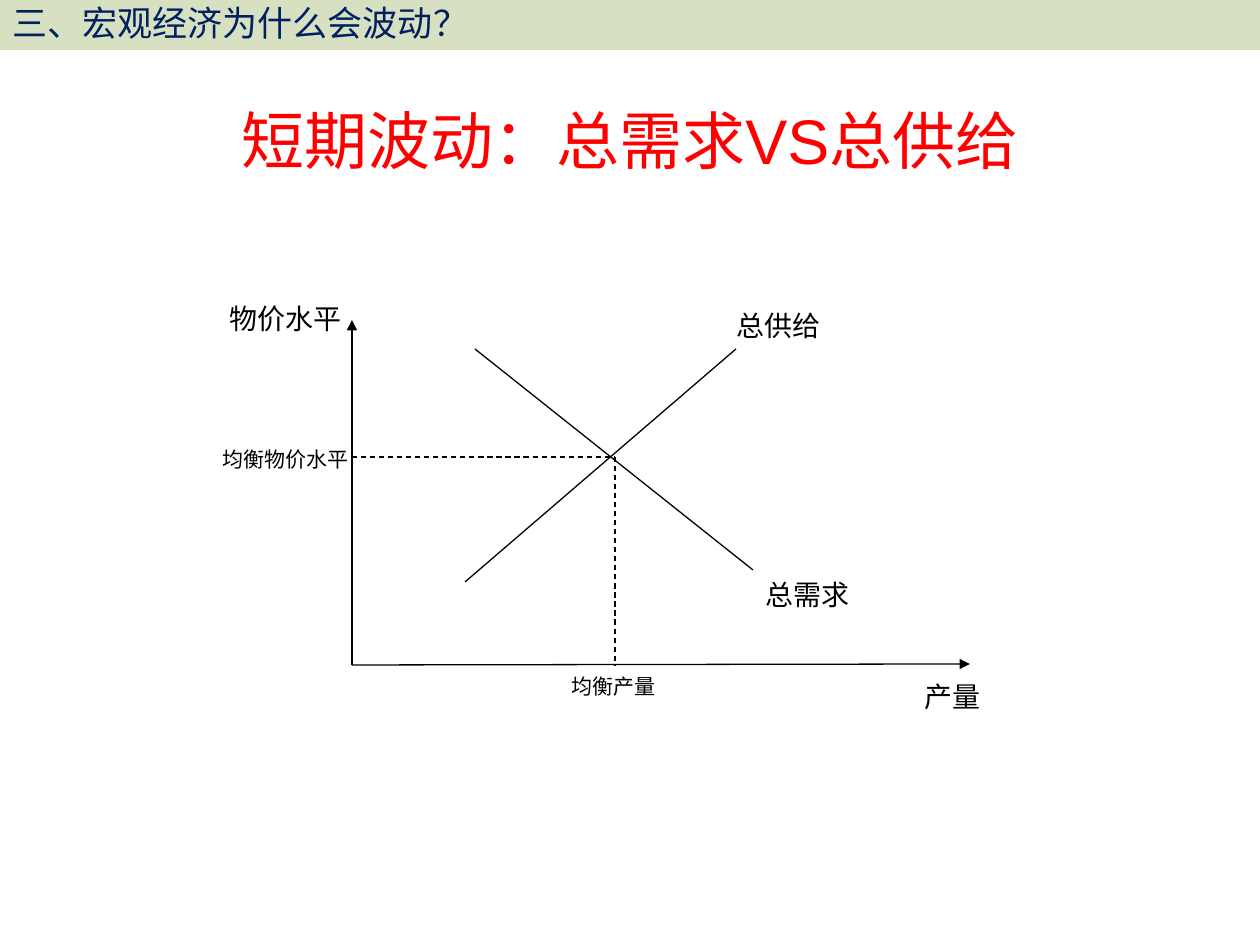
from lxml import etree
from pptx import Presentation
from pptx import util as u
from pptx.dml.color import RGBColor
from pptx.enum import dml, shapes, text
from pptx.oxml.ns import qn

PX = 914400 / 126
COLORS = {"bar": "D7E1C1", "navy": "002060", "red": "FF0000", "ink": "000000"}


def px(*lengths):
    return [u.Emu(round(n * PX)) for n in lengths]


def rgb(name):
    return RGBColor.from_string(COLORS[name])


class Deck:
    font = "Arial"
    line_width = u.Pt(0.75)

    def __init__(self, width, height):
        self.prs = Presentation()
        self.prs.slide_width, self.prs.slide_height = px(width, height)
        self.s = self.prs.slides.add_slide(self.prs.slide_layouts[5])

    def set_text(self, sp, words, size, color, align, **frame):
        tf = sp.text_frame
        for name, value in frame.items():
            setattr(tf, name, value)
        p = tf.paragraphs[0]
        p.alignment = align
        r = p.add_run()
        r.text = words
        for name, value in {"name": self.font, "size": u.Pt(size)}.items():
            setattr(r.font, name, value)
        r.font.color.rgb = rgb(color)

    def bar(self, box, words):
        sp = self.s.shapes.add_shape(shapes.MSO_SHAPE.RECTANGLE, *px(*box))
        sp.shadow.inherit = False
        sp.fill.solid()
        sp.fill.fore_color.rgb = rgb("bar")
        sp.line.fill.background()
        self.set_text(sp, words, 20, "navy", text.PP_ALIGN.LEFT,
                      vertical_anchor=text.MSO_ANCHOR.TOP, word_wrap=True)

    def title(self, box, words):
        sp = self.s.shapes.title
        sp.left, sp.top, sp.width, sp.height = px(*box)
        self.set_text(sp, words, 36, "red", text.PP_ALIGN.CENTER,
                      vertical_anchor=text.MSO_ANCHOR.MIDDLE,
                      auto_size=text.MSO_AUTO_SIZE.NONE)

    def label(self, box, words, size):
        sp = self.s.shapes.add_textbox(*px(*box))
        self.set_text(sp, words, size, "ink", text.PP_ALIGN.LEFT, word_wrap=False,
                      auto_size=text.MSO_AUTO_SIZE.SHAPE_TO_FIT_TEXT)

    def line(self, start, end, arrow=False, dashed=False):
        c = self.s.shapes.add_connector(
            shapes.MSO_CONNECTOR.STRAIGHT, *px(*start, *end))
        c.line.color.rgb = rgb("ink")
        c.line.width = self.line_width
        if dashed:
            c.line.dash_style = dml.MSO_LINE.DASH
        sp_pr = c._element.spPr
        if arrow:
            etree.SubElement(sp_pr.find(qn("a:ln")), qn("a:tailEnd"), type="triangle")
        etree.SubElement(sp_pr, qn("a:effectLst"))


def main():
    deck = Deck(1260, 945)

    # Section bar and title
    deck.bar((0, -5, 1260, 55), "三、宏观经济为什么会波动？")
    deck.title((63, 84, 1134, 111), "短期波动：总需求VS总供给")

    # Axes
    origin_x, origin_y = 352, 665
    deck.line((origin_x, origin_y), (970, 664), arrow=True)
    deck.line((origin_x, origin_y), (origin_x, 320), arrow=True)

    # Supply and demand curves
    deck.line((465, 582), (736, 349))
    deck.line((475, 349), (753, 570))

    # Guides from the equilibrium to both axes
    balance = (615, 457)
    deck.line((origin_x, balance[1]), balance, dashed=True)
    deck.line(balance, (balance[0], origin_y), dashed=True)

    # Axis and curve names
    for x, y, width, words in [
        (217, 295, 139, "物价水平"),
        (912, 673, 82, "产量"),
        (753, 571, 111, "总需求"),
        (724, 302, 111, "总供给"),
    ]:
        deck.label((x, y, width, 47), words, 16)

    # Equilibrium values
    for x, y, width, words in [
        (210, 440, 152, "均衡物价水平"),
        (559, 667, 111, "均衡产量"),
    ]:
        deck.label((x, y, width, 38), words, 12)

    deck.prs.save("out.pptx")


if __name__ == "__main__":
    main()
